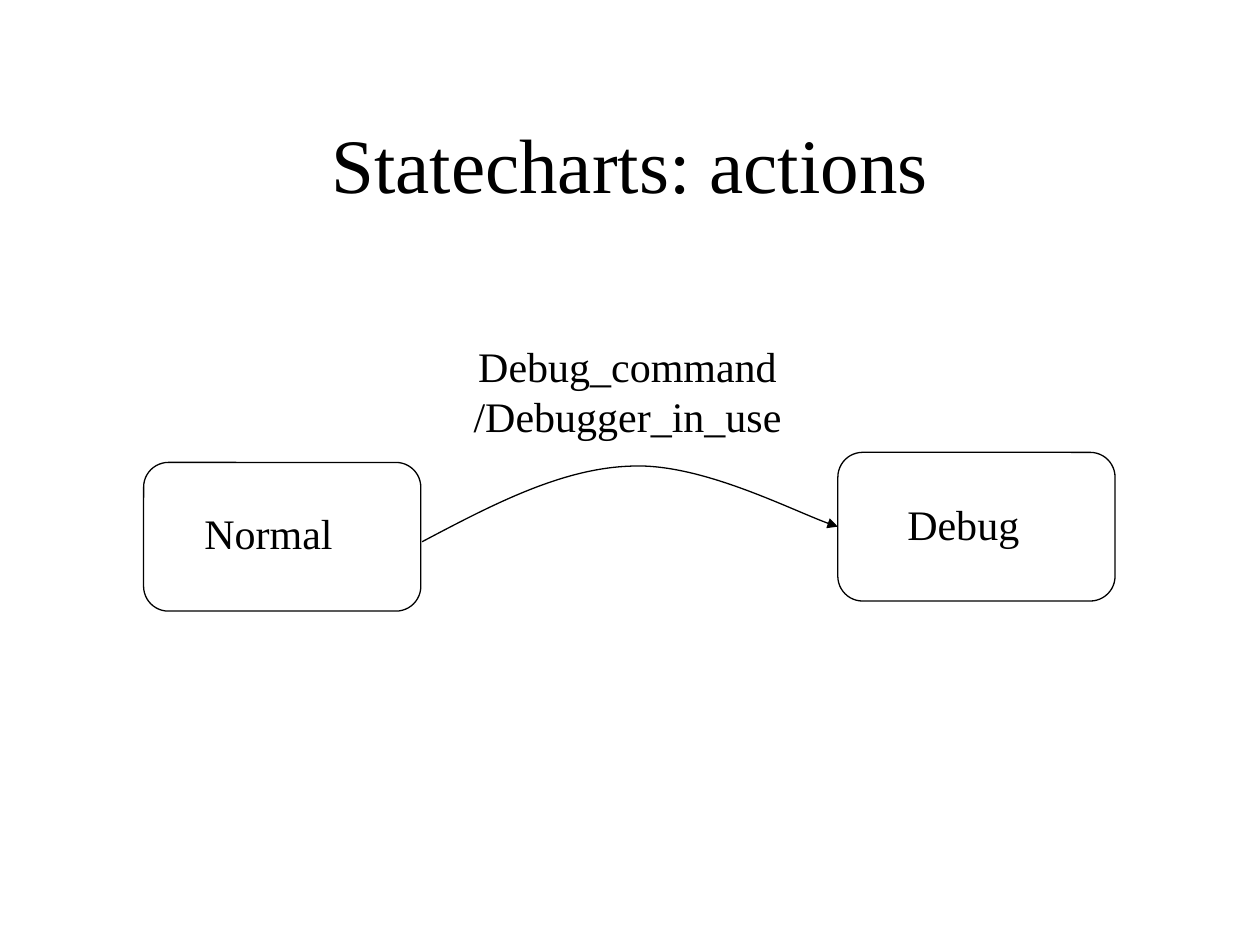
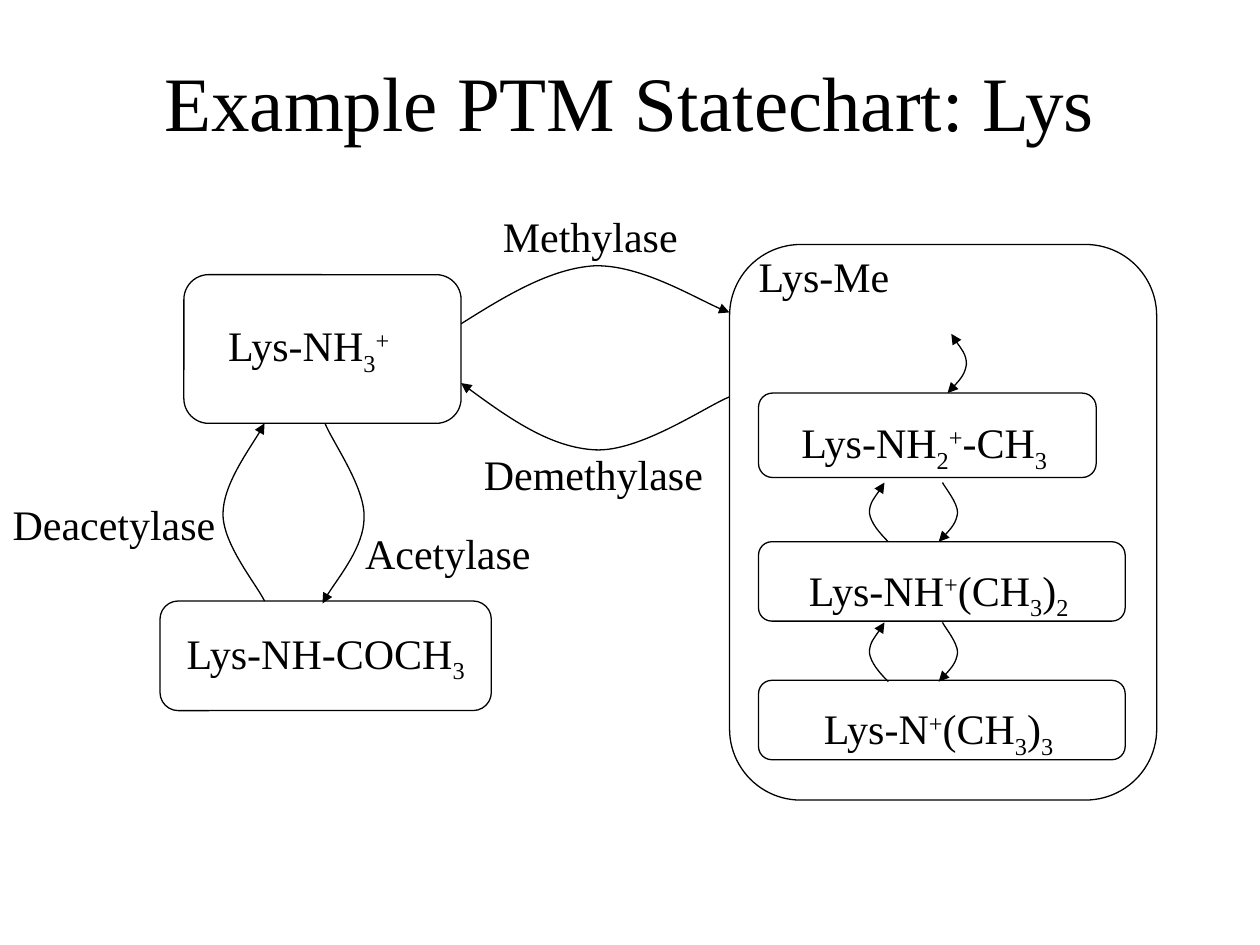
from dataclasses import dataclass

from lxml.etree import SubElement
from pptx import Presentation
from pptx.dml.color import RGBColor
from pptx.enum.shapes import MSO_SHAPE
from pptx.enum.text import MSO_ANCHOR, MSO_AUTO_SIZE, PP_ALIGN
from pptx.oxml.ns import qn
from pptx.util import Inches, Pt

SLIDE_WIDTH, SLIDE_HEIGHT = Inches(10), Inches(7.5)
COLUMNS, ROWS = 100, 75
COLUMN, ROW = SLIDE_WIDTH / COLUMNS, SLIDE_HEIGHT / ROWS
FONT_NAME = "Times New Roman"
INK = "000000"
TITLE_SIZE, LABEL_SIZE = 44, 24
LINE_WIDTH = Pt(0.75)
BASELINES = {"_": "-25000", "^": "30000"}

Point = tuple[float, float]


@dataclass(frozen=True)
class Box:
    """A rectangle in grid columns and rows."""
    left: float
    top: float
    width: float
    height: float

    def lengths(self) -> tuple[int, int, int, int]:
        return (round(self.left * COLUMN), round(self.top * ROW),
                round(self.width * COLUMN), round(self.height * ROW))


@dataclass(frozen=True)
class Label:
    """Lines of text pieces; a piece led by _ is lowered, by ^ raised."""
    box: Box
    lines: tuple[tuple[str, ...], ...]


@dataclass(frozen=True)
class State:
    box: Box
    label: Label


@dataclass(frozen=True)
class Transition:
    """A start point followed by three points for each Bézier segment."""
    points: tuple[Point, ...]
    arrow_at_start: bool = False
    arrow_at_end: bool = False


def label(left: float, top: float, width: float, height: float, *pieces: str) -> Label:
    return Label(Box(left, top, width, height), (pieces,))


def color(hex_value: str) -> RGBColor:
    return RGBColor.from_string(hex_value)


def format_paragraph(paragraph, size: int) -> None:
    paragraph.alignment = PP_ALIGN.CENTER
    paragraph.font.name = FONT_NAME
    paragraph.font.size = Pt(size)
    paragraph.font.color.rgb = color(INK)


def outline(shape) -> None:
    shape.shadow.inherit = False
    shape.fill.background()
    shape.line.color.rgb = color(INK)
    shape.line.width = LINE_WIDTH


def add_titled_slide(presentation, title: str, box: Box):
    slide = presentation.slides.add_slide(presentation.slide_layouts[5])
    shape = slide.shapes.title
    shape.left, shape.top, shape.width, shape.height = box.lengths()
    frame = shape.text_frame
    frame.text = title
    frame.auto_size = MSO_AUTO_SIZE.NONE
    frame.vertical_anchor = MSO_ANCHOR.MIDDLE
    format_paragraph(frame.paragraphs[0], TITLE_SIZE)
    return slide


def add_label(slide, item: Label) -> None:
    frame = slide.shapes.add_textbox(*item.box.lengths()).text_frame
    frame.word_wrap = False
    frame.auto_size = MSO_AUTO_SIZE.SHAPE_TO_FIT_TEXT
    for index, pieces in enumerate(item.lines):
        paragraph = frame.add_paragraph() if index else frame.paragraphs[0]
        format_paragraph(paragraph, LABEL_SIZE)
        for piece in pieces:
            run = paragraph.add_run()
            baseline = BASELINES.get(piece[0])
            run.text = piece[1:] if baseline else piece
            if baseline:
                run._r.get_or_add_rPr().set("baseline", baseline)


def add_state(slide, state: State) -> None:
    shape = slide.shapes.add_shape(MSO_SHAPE.ROUNDED_RECTANGLE, *state.box.lengths())
    outline(shape)
    add_label(slide, state.label)


def add_transition(slide, transition: Transition) -> None:
    start, *rest = [(round(x * COLUMN), round(y * ROW)) for x, y in transition.points]
    builder = slide.shapes.build_freeform(*start)
    builder.add_line_segments(rest, close=False)
    shape = builder.convert_to_shape()
    outline(shape)

    geometry = shape._element.xpath(".//a:path")[0]
    segments = geometry.findall(qn("a:lnTo"))
    for first in range(0, len(segments), 3):
        curve = SubElement(geometry, qn("a:cubicBezTo"))
        for segment in segments[first:first + 3]:
            curve.append(segment[0])
            geometry.remove(segment)

    line = shape._element.spPr.find(qn("a:ln"))
    if transition.arrow_at_start:
        SubElement(line, qn("a:headEnd"), type="triangle")
    if transition.arrow_at_end:
        SubElement(line, qn("a:tailEnd"), type="triangle")


def draw(slide, states: list[State], transitions: list[Transition],
         labels: list[Label]) -> None:
    for state in states:
        add_state(slide, state)
    for transition in transitions:
        add_transition(slide, transition)
    for item in labels:
        add_label(slide, item)


def right_bend(row: float, shift: float = 0) -> tuple[Point, ...]:
    """A short curve bulging right, rising from the given row."""
    offsets = ((74.5, 0), (75.2, 0.7), (75.9, 1.5), (76, 2.3),
               (76, 3.1), (75, 4.3), (74.8, 4.7))
    return tuple((x + shift, row - rise) for x, rise in offsets)


def left_bend(row: float) -> tuple[Point, ...]:
    """The mirror of the right bend about the methyl states' axis."""
    axis = 72.5
    return tuple((2 * axis - x, y) for x, y in right_bend(row))


def add_actions_slide(presentation) -> None:
    slide = add_titled_slide(presentation, "Statecharts: actions", Box(7.5, 6.7, 85, 12.5))
    states = [
        State(Box(11.4, 36.7, 22, 11.8), label(15.2, 39.8, 12.2, 5, "Normal")),
        State(Box(66.5, 35.9, 22, 11.8), label(71, 39.1, 10.9, 5, "Debug")),
    ]
    to_debug = Transition(((33.5, 43), (39, 40.1), (44.5, 37.2), (50, 37),
                           (55.5, 36.7), (63.8, 41), (66.5, 41.8)), arrow_at_end=True)
    action = Label(Box(36.4, 26.5, 26.8, 9), (("Debug_command",), ("/Debugger_in_use",)))
    draw(slide, states, [to_debug], [action])


def add_lysine_slide(presentation) -> None:
    slide = add_titled_slide(presentation, "Example PTM Statechart: Lys",
                             Box(7.5, 3.65, 85, 8.7))
    states = [
        State(Box(14.6, 21.8, 22, 11.8), label(17, 24.9, 15, 5.6, "Lys-NH", "_3", "^+")),
        State(Box(57.9, 19.4, 33.9, 44.1), label(58.7, 19.4, 13.4, 5, "Lys-Me")),
        State(Box(60.2, 31.2, 26.8, 6.7),
              label(61.4, 32.6, 23.9, 5.6, "Lys-NH", "_2", "^+", "-CH", "_3")),
        State(Box(60.2, 43, 29.1, 6.3),
              label(61.5, 44.3, 26, 5.6, "Lys-NH", "^+", "(CH", "_3", ")", "_2")),
        State(Box(60.2, 54, 29.1, 6.3),
              label(61.5, 55.3, 26, 5.6, "Lys-N", "^+", "(CH", "_3", ")", "_3")),
        State(Box(12.7, 47.7, 26.3, 8.7),
              label(13, 49.3, 25.7, 5.6, "Lys-NH-COCH", "_3")),
    ]
    methylation = Transition(((36.6, 25.7), (40.1, 23.5), (43.7, 21.3), (47.2, 21.1),
                              (50.8, 21), (56.1, 24.2), (57.9, 24.8)), arrow_at_end=True)
    demethylation = Transition(((36.6, 30.4), (40.1, 33), (43.7, 35.5), (47.2, 35.7),
                                (50.8, 35.9), (56.1, 32.2), (57.9, 31.5)),
                               arrow_at_start=True)
    deacetylation = Transition(((21, 33.6), (20.4, 34.8), (17.7, 38.5), (17.7, 40.8),
                                (17.7, 43.2), (20.3, 46.3), (21, 47.7)),
                               arrow_at_start=True)
    acetylation = Transition(((25.6, 47.9), (26.1, 46.8), (28.9, 43.4), (28.9, 41.1),
                              (29, 38.7), (26.4, 35.1), (25.8, 33.6)), arrow_at_start=True)
    transitions = [methylation, demethylation, deacetylation, acetylation,
                   Transition(right_bend(31.2, shift=0.7), True, True)]
    for row in (43, 54.1):
        transitions += [Transition(left_bend(row), arrow_at_end=True),
                        Transition(right_bend(row), arrow_at_start=True)]
    enzymes = [
        label(38.9, 16.2, 15.9, 5, "Methylase"),
        label(37.4, 35.1, 19.4, 5, "Demethylase"),
        label(27.8, 41.4, 15.5, 5, "Acetylase"),
        label(0, 39.1, 18.1, 5, "Deacetylase"),
    ]
    draw(slide, states, transitions, enzymes)


def main() -> None:
    presentation = Presentation()
    presentation.slide_width, presentation.slide_height = SLIDE_WIDTH, SLIDE_HEIGHT
    add_actions_slide(presentation)
    add_lysine_slide(presentation)
    presentation.save("out.pptx")


if __name__ == "__main__":
    main()
